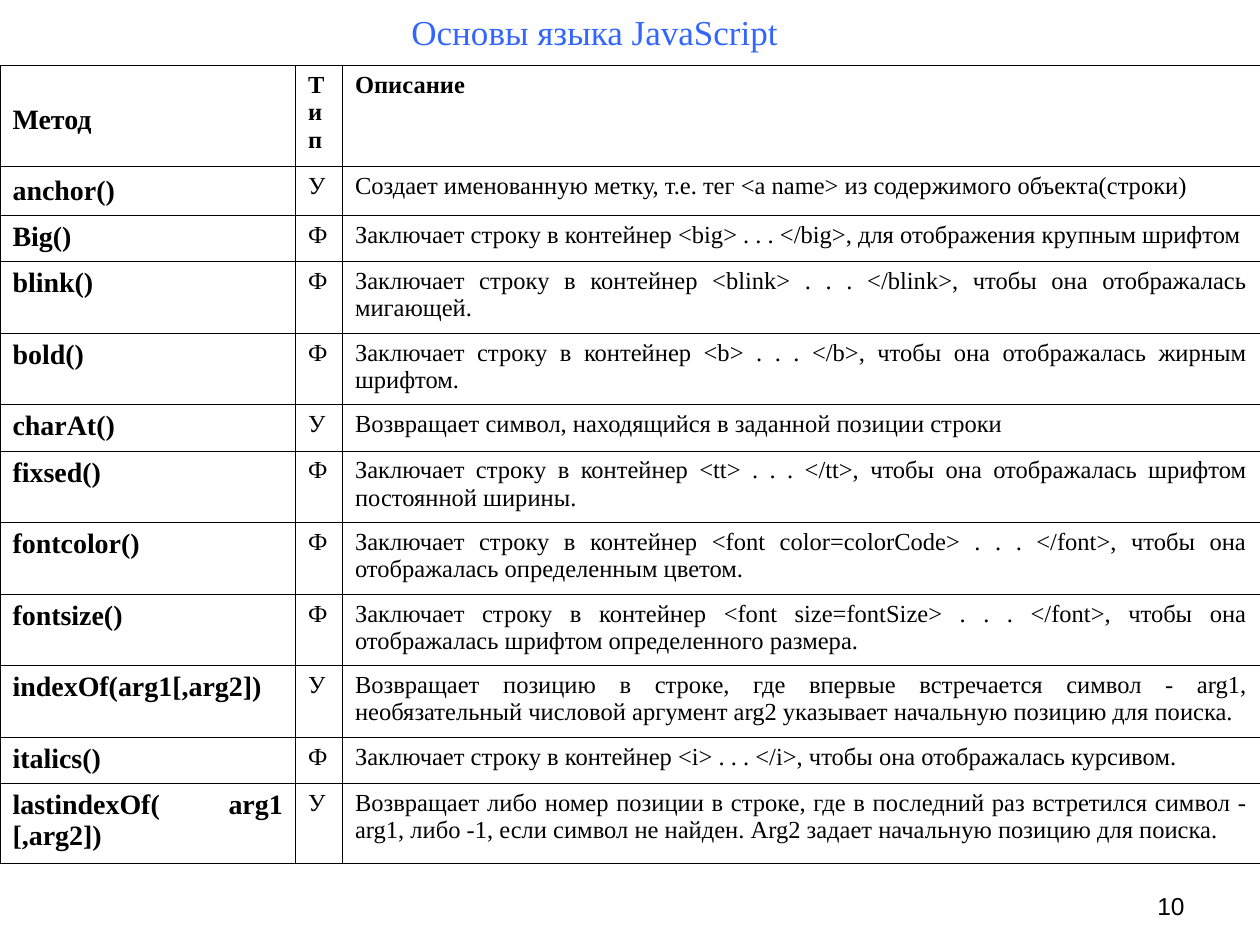
"""Build a slide with a reference table of JavaScript string methods."""
from lxml import etree
from pptx import Presentation
from pptx.dml.color import RGBColor
from pptx.enum import text
from pptx.oxml.ns import qn
from pptx.util import Pt

BLACK = RGBColor(0x00, 0x00, 0x00)
BLUE = RGBColor(0x33, 0x66, 0xFF)
SERIF, SANS = "Times New Roman", "Arial"

TITLE = "Основы языка JavaScript"
PAGE = "10"
HEADER = ("Метод", "Тип", "Описание")
METHODS = [
    ("anchor()", "У", "Создает именованную метку, т.е. тег <a name> из содержимого объекта(строки)"),
    ("Big()", "Ф", "Заключает строку в контейнер <big> . . . </big>, для отображения крупным шрифтом"),
    ("blink()", "Ф", "Заключает строку в контейнер <blink> . . . </blink>, чтобы она отображалась мигающей."),
    ("bold()", "Ф", "Заключает строку в контейнер <b> . . . </b>, чтобы она отображалась жирным шрифтом."),
    ("charAt()", "У", "Возвращает символ, находящийся в заданной позиции строки"),
    ("fixsed()", "Ф", "Заключает строку в контейнер <tt> . . . </tt>, чтобы она отображалась шрифтом "
                      "постоянной ширины."),
    ("fontcolor()", "Ф", "Заключает строку в контейнер <font color=colorCode> . . . </font>, чтобы она "
                         "отображалась определенным цветом."),
    ("fontsize()", "Ф", "Заключает строку в контейнер <font size=fontSize> . . . </font>, чтобы она "
                        "отображалась шрифтом определенного размера."),
    ("indexOf(arg1[,arg2])", "У", "Возвращает позицию в строке, где впервые встречается символ - arg1, "
                                  "необязательный числовой аргумент arg2 указывает начальную позицию для поиска."),
    ("italics()", "Ф", "Заключает строку в контейнер <i> . . . </i>, чтобы она отображалась курсивом."),
    ("lastindexOf( arg1 [,arg2])", "У", "Возвращает либо номер позиции в строке, где в последний раз встретился "
                                        "символ - arg1, либо -1, если символ не найден. Arg2 задает начальную "
                                        "позицию для поиска."),
]
COLUMNS = (168.9, 26.8, 524.3)
ONE_LINE, TWO_LINES = 26.35, 40.9
HEADER_HEIGHT, LAST_HEIGHT = 57.6, 45.7
ONE_LINE_LIMIT = 82
NAME_TOP = {0: 22, 1: 5}


def style(p, size, align, font=SERIF, color=BLACK, bold=False):
    """Set the alignment and font of a paragraph."""
    p.alignment = align
    p.font.name, p.font.size, p.font.bold = font, Pt(size), bold
    p.font.color.rgb = color


def add_borders(cell):
    """Draw a thin black line on every side of a cell."""
    props = cell._tc.get_or_add_tcPr()
    for i, side in enumerate(("a:lnL", "a:lnR", "a:lnT", "a:lnB")):
        ln = etree.Element(qn(side), w=str(Pt(0.45)))
        fill = etree.SubElement(ln, qn("a:solidFill"))
        etree.SubElement(fill, qn("a:srgbClr"), val=str(BLACK))
        props.insert(i, ln)


def add_title(slide):
    """Place and format the title."""
    sp = slide.shapes.title
    sp.left, sp.top, sp.width, sp.height = Pt(155.5), Pt(0), Pt(368.6), Pt(15)
    tf = sp.text_frame
    tf.text = TITLE
    tf.auto_size = text.MSO_AUTO_SIZE.NONE
    tf.word_wrap = False
    tf.vertical_anchor = text.MSO_ANCHOR.TOP
    tf.margin_top = Pt(6)
    style(tf.paragraphs[0], 20, text.PP_ALIGN.CENTER, color=BLUE)


def add_methods(slide):
    """Add the table of methods."""
    rows = [HEADER] + METHODS
    heights = [ONE_LINE if len(m[2]) < ONE_LINE_LIMIT else TWO_LINES for m in METHODS]
    heights = [HEADER_HEIGHT] + heights[:-1] + [LAST_HEIGHT]
    table = slide.shapes.add_table(len(rows), len(COLUMNS), Pt(0), Pt(37.6),
                                   Pt(sum(COLUMNS)), Pt(sum(heights))).table
    table.first_row = table.horz_banding = False
    for column, width in zip(table.columns, COLUMNS):
        column.width = Pt(width)
    for i, (values, height) in enumerate(zip(rows, heights)):
        table.rows[i].height = Pt(height)
        for j, value in enumerate(values):
            cell = table.cell(i, j)
            cell.text = value
            cell.fill.background()
            add_borders(cell)
            is_name = j == 0
            if is_name and i in NAME_TOP:
                cell.margin_top = Pt(NAME_TOP[i])
            style(cell.text_frame.paragraphs[0], 16 if is_name else 14,
                  text.PP_ALIGN.JUSTIFY, bold=is_name or i == 0)


def add_page_number(slide):
    """Add the page number in the lower right corner."""
    tf = slide.shapes.add_textbox(Pt(516), Pt(492), Pt(168), Pt(37.5)).text_frame
    tf.text = PAGE
    tf.word_wrap = True
    tf.vertical_anchor = text.MSO_ANCHOR.BOTTOM
    style(tf.paragraphs[0], 14, text.PP_ALIGN.RIGHT, font=SANS)


def main():
    """Build and save the presentation."""
    prs = Presentation()
    prs.slide_width, prs.slide_height = Pt(720), Pt(540)
    slide = prs.slides.add_slide(prs.slide_layouts[5])
    add_page_number(slide)
    add_title(slide)
    add_methods(slide)
    prs.save("out.pptx")


if __name__ == "__main__":
    main()
